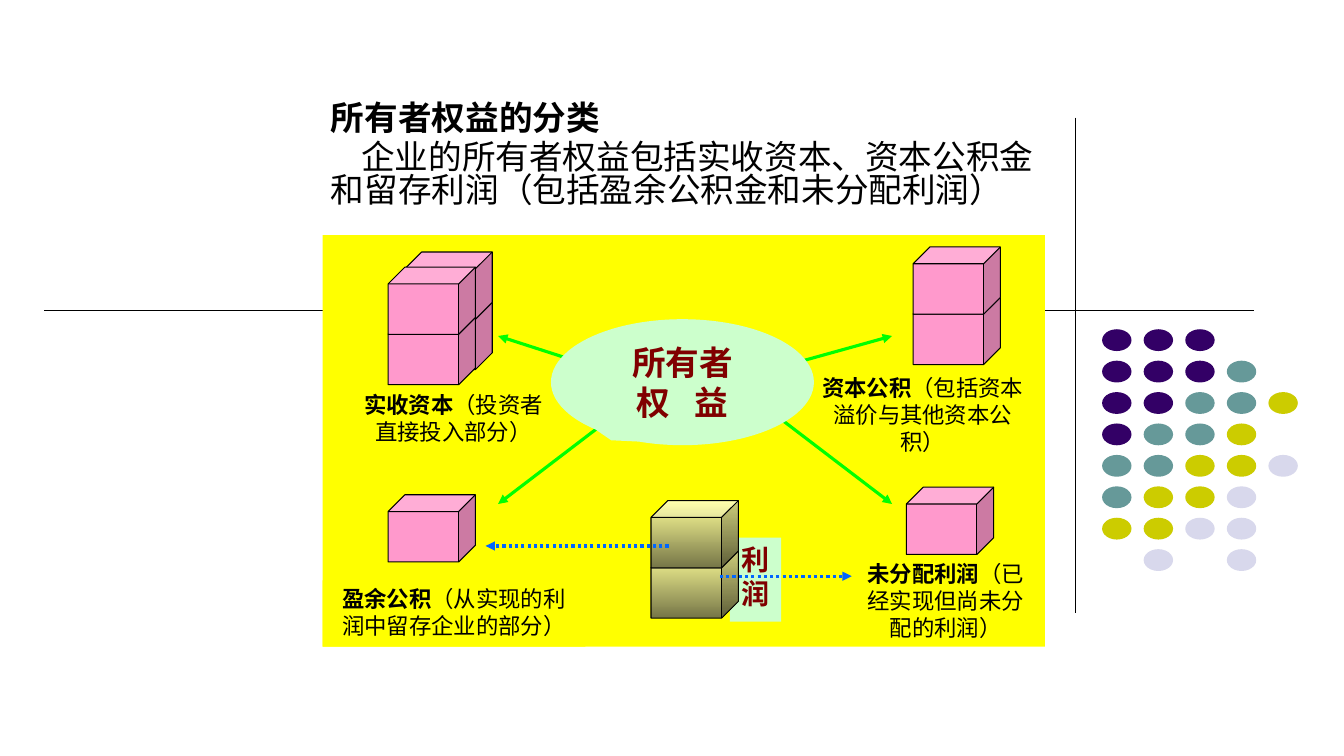
from lxml import etree
from pptx import Presentation
from pptx import util as u
from pptx.dml import color
from pptx.enum import dml, shapes, text
from pptx.oxml.ns import qn

COLS, ROWS = 160, 90
BLACK, YELLOW, MINT, PINK = "000000", "FFFF00", "CCFFCC", "FF99CC"
MAROON, GREEN, BLUE = "800000", "00FF00", "0066FF"
KHAKI = ("FFFF99", "767647")
CUBE_W, CUBE_H, CUBE_STEP = 10.4, 8, 6


def rgb(hex_code):
    return color.RGBColor.from_string(hex_code)


class Board:
    """Draws on one slide, with lengths in columns and rows."""

    def __init__(self, deck, layout):
        self.slide = deck.slides.add_slide(deck.slide_layouts[layout])
        self.col = deck.slide_width / COLS
        self.row = deck.slide_height / ROWS

    def place(self, left, top, width, height):
        return (round(left * self.col), round(top * self.row),
                round(width * self.col), round(height * self.row))

    def paint(self, fill, paint):
        if isinstance(paint, str):
            fill.solid()
            fill.fore_color.rgb = rgb(paint)
            return
        fill.gradient()
        fill.gradient_angle = 270
        for stop, shade, position in zip(fill.gradient_stops, paint, (0, 1)):
            stop.color.rgb = rgb(shade)
            stop.position = position

    def shape(self, kind, at, paint, outline=None):
        item = self.slide.shapes.add_shape(kind, *self.place(*at))
        item.shadow.inherit = False
        self.paint(item.fill, paint)
        if outline:
            item.line.color.rgb = rgb(outline)
            item.line.width = u.Pt(0.75)
        else:
            item.line.fill.background()
        return item

    def run(self, paragraph, words, size, shade=BLACK, bold=False,
            font="Times New Roman"):
        piece = paragraph.add_run()
        piece.text = words
        piece.font.name = font
        piece.font.size = u.Pt(size)
        piece.font.bold = bold
        piece.font.color.rgb = rgb(shade)
        return piece

    def centred(self, item, anchor=text.MSO_ANCHOR.TOP):
        frame = item.text_frame
        frame.word_wrap = True
        frame.vertical_anchor = anchor
        frame.paragraphs[0].alignment = text.PP_ALIGN.CENTER
        return frame

    def label(self, at, term, detail):
        box = self.shape(shapes.MSO_SHAPE.RECTANGLE, at, YELLOW)
        paragraph = self.centred(box).paragraphs[0]
        self.run(paragraph, term, 16, bold=True)
        self.run(paragraph, detail, 16)

    def stack(self, left, top, count, paint=PINK):
        for level in reversed(range(count)):
            at = (left, top + level * CUBE_STEP, CUBE_W, CUBE_H)
            cube = self.shape(shapes.MSO_SHAPE.CUBE, at, paint, BLACK)
            cube.adjustments[0] = 0.25

    def line(self, start, end, shade, width, arrow=False, dotted=False):
        ends = self.place(*start, *end)
        link = self.slide.shapes.add_connector(
            shapes.MSO_CONNECTOR.STRAIGHT, *ends)
        link.line.color.rgb = rgb(shade)
        link.line.width = u.Pt(width)
        if dotted:
            link.line.dash_style = dml.MSO_LINE.ROUND_DOT
        properties = link._element.spPr
        if arrow:
            head = etree.SubElement(properties.find(qn("a:ln")), qn("a:tailEnd"))
            head.set("type", "triangle")
        etree.SubElement(properties, qn("a:effectLst"))

    def intro(self, at, heading, sentence):
        title, body = self.slide.placeholders
        title._element.getparent().remove(title._element)
        body.left, body.top, body.width, body.height = self.place(*at)
        frame = body.text_frame
        frame.auto_size = text.MSO_AUTO_SIZE.NONE
        frame.vertical_anchor = text.MSO_ANCHOR.TOP
        first, second = frame.paragraphs[0], frame.add_paragraph()
        for paragraph, words in ((first, heading), (second, sentence)):
            paragraph.alignment = text.PP_ALIGN.LEFT
            paragraph.line_spacing = 0.8
            paragraph.space_before = u.Pt(0 if paragraph is first else 4.8)
            self.run(paragraph, words, 24, bold=paragraph is first, font="Arial")
        second._p.get_or_add_pPr().set("indent", str(u.Inches(0.3)))


def draw_decoration(board):
    board.line((128, 14), (128, 73), BLACK, 0.75)
    dot_colours = {"P": "330066", "T": "669999", "Y": "CCCC00", "L": "D8D8EC"}
    pattern = ("PPP", "PPPT", "PPTTY", "PTTY", "TTYYL", "TYYL", "YYLL", ".L.L")
    for r, dots in enumerate(pattern):
        for c, dot in enumerate(dots):
            if dot in dot_colours:
                at = (131.2 + c * 4.95, 39.2 + r * 3.74, 3.5, 2.6)
                board.shape(shapes.MSO_SHAPE.OVAL, at, dot_colours[dot])
    board.line((5.3, 37), (149.3, 37), BLACK, 0.5)


def draw_equity(board):
    board.shape(shapes.MSO_SHAPE.RECTANGLE, (38.4, 28, 86, 49), YELLOW)

    # Four parts of equity
    board.label((41, 46, 26, 10), "实收资本", "（投资者直接投入部分）")
    board.label((95.5, 44, 28.7, 14), "资本公积", "（包括资本溢价与其他资本公积）")
    board.label((38.4, 69.1, 31.3, 7.9), "盈余公积", "（从实现的利润中留存企业的部分）")
    board.label((100.9, 66.1, 23.4, 10), "未分配利润", "（已经实现但尚未分配的利润）")
    for left, top, count in ((48.2, 30, 2), (46.2, 31.8, 2), (108.7, 29.4, 2),
                             (46.2, 58.9, 1), (107.9, 58, 1)):
        board.stack(left, top, count)

    # Arrows from the centre to each part
    for start, end in (((68.6, 43), (59.3, 40)), ((95.4, 43), (106.2, 40)),
                       ((72.4, 50), (59.3, 60)), ((93.1, 50), (106.2, 60))):
        board.line(start, end, GREEN, 2.25, arrow=True)

    # Centre
    equity = board.shape(shapes.MSO_SHAPE.OVAL_CALLOUT,
                         (65.6, 38, 31.3, 15), MINT)
    equity.adjustments[0], equity.adjustments[1] = -0.271, 0.461
    frame = board.centred(equity, text.MSO_ANCHOR.MIDDLE)
    board.run(frame.paragraphs[0], "所有者", 24, MAROON, True)
    second = frame.add_paragraph()
    second.alignment = text.PP_ALIGN.CENTER
    for words in ("权", " ", "益"):
        piece = board.run(second, words, 24, MAROON, True)
        if words == " ":
            piece.font._element.set("spc", "1200")

    # Profit and where it goes
    profit = board.shape(shapes.MSO_SHAPE.RECTANGLE, (86.9, 64, 6.1, 10), MINT)
    board.run(board.centred(profit).paragraphs[0], "利润", 20, MAROON, True)
    board.stack(77.5, 59.6, 2, KHAKI)
    for start, end in (((79.6, 65), (57.8, 65)), ((85.7, 68.6), (101.4, 68.6))):
        board.line(start, end, BLUE, 2.25, arrow=True, dotted=True)


def main():
    deck = Presentation()
    deck.slide_width, deck.slide_height = u.Inches(13.33), u.Inches(7.5)
    board = Board(deck, 0)
    draw_decoration(board)
    board.intro((38.2, 11.9, 87.2, 17.2), "所有者权益的分类",
                "企业的所有者权益包括实收资本、资本公积金和留存利润"
                "（包括盈余公积金和未分配利润）")
    draw_equity(board)
    deck.save("out.pptx")


if __name__ == "__main__":
    main()
